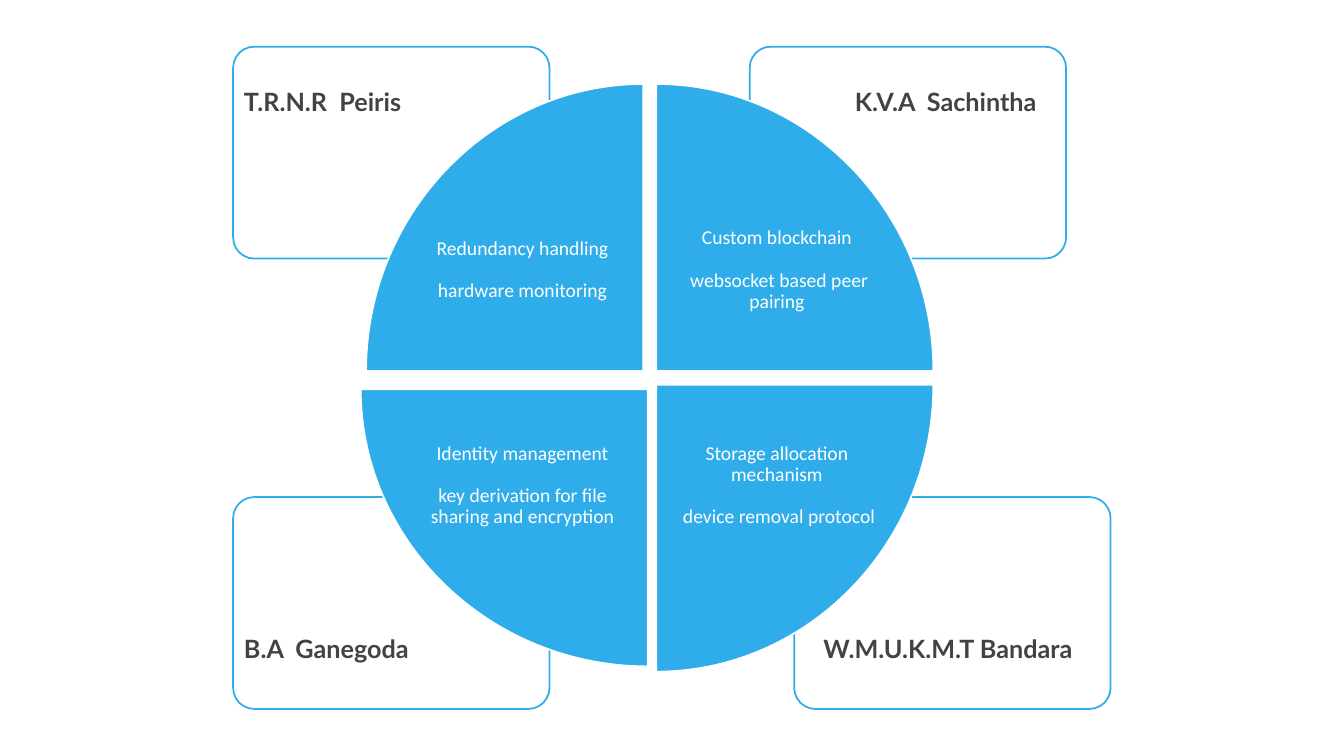
from lxml import etree
from pptx import Presentation
from pptx.dml.color import RGBColor
from pptx.enum.shapes import MSO_SHAPE
from pptx.enum.text import MSO_ANCHOR, PP_ALIGN
from pptx.oxml.ns import qn
from pptx.util import Pt

ROUNDED = MSO_SHAPE.ROUNDED_RECTANGLE
TOP, MIDDLE = MSO_ANCHOR.TOP, MSO_ANCHOR.MIDDLE
LEFT, CENTER = PP_ALIGN.LEFT, PP_ALIGN.CENTER

COLORS = {"blue": "2FACEA", "white": "FFFFFF", "dark": "434343"}
CARD_WIDTH, CARD_HEIGHT = 226, 151.4
LABEL_WIDTH, LABEL_HEIGHT = 172.5, 145
ARC_HANDLE = 0.55  # Bezier handle of a quarter circle


def style(shape, fill, line):
    shape.shadow.inherit = False
    shape.fill.solid()
    shape.fill.fore_color.rgb = RGBColor.from_string(COLORS[fill])
    shape.line.color.rgb = RGBColor.from_string(COLORS[line])
    shape.line.width = Pt(1.25)


def add_text(box, lines, font, size, color, bold, anchor, alignment, inset, gap):
    """Add a text box; box is left, top, width, height and gap parts the lines."""
    frame = slide.shapes.add_textbox(*[Pt(length) for length in box]).text_frame
    frame.word_wrap = True
    frame.vertical_anchor = anchor
    frame.margin_left = frame.margin_right = Pt(inset)
    frame.margin_top = frame.margin_bottom = Pt(inset)
    for index, line in enumerate(lines):
        paragraph = frame.add_paragraph() if index else frame.paragraphs[0]
        paragraph.alignment = alignment
        paragraph.line_spacing = 0.9
        paragraph.space_before = Pt(gap if index else 0)
        run = paragraph.add_run()
        run.text = line
        run.font.name = font
        run.font.size = Pt(size)
        run.font.bold = bold
        run.font.color.rgb = RGBColor.from_string(COLORS[color])


presentation = Presentation()
presentation.slide_width = Pt(960)
presentation.slide_height = Pt(540)
slide = presentation.slides.add_slide(presentation.slide_layouts[6])

# Cards: name, card left and top, name left, top and width
members = [
    ("W.M.U.K.M.T Bandara", 567.3, 355, 583.8, 450.5, 206.5),
    ("B.A  Ganegoda", 166.5, 355, 170, 450.5, 152),
    ("K.V.A  Sachintha", 535.5, 33.3, 606.3, 59.6, 152),
    ("T.R.N.R  Peiris", 166.5, 33.3, 170, 59.6, 152),
]
for name, left, top, name_left, name_top, name_width in members:
    card = slide.shapes.add_shape(ROUNDED, Pt(left), Pt(top), Pt(CARD_WIDTH), Pt(CARD_HEIGHT))
    card.adjustments[0] = 0.1
    style(card, "white", "blue")
    add_text((name_left, name_top, name_width, 50), [name],
             "Lato", 18, "dark", True, TOP, LEFT, 4.3, 0)

# Quadrants: inner corner, signed radii, label position, lines
quadrants = [
    (459.5, 265, -198, -205, 287, 120.5,
     ["Redundancy handling", "hardware monitoring"]),
    (468.7, 265, 198, -205, 468.7, 120.5,
     ["Custom blockchain", " websocket based peer pairing"]),
    (468.7, 274.8, 198, 205, 468.7, 274.6,
     ["Storage allocation mechanism", " device removal protocol"]),
    (462.7, 278, -205, 198, 287, 274.6,
     ["Identity management", "key derivation for file sharing and encryption"]),
]
for x, y, radius_x, radius_y, left, top, lines in quadrants:
    builder = slide.shapes.build_freeform(Pt(x + radius_x), Pt(y))
    builder.add_line_segments([(Pt(x), Pt(y + radius_y)), (Pt(x), Pt(y))], close=True)
    quadrant = builder.convert_to_shape()
    style(quadrant, "blue", "white")

    # Bend the first side into a quarter arc
    start = quadrant.element.find(".//" + qn("a:moveTo"))[0]
    side = quadrant.element.find(".//" + qn("a:lnTo"))
    start_x, start_y = int(start.get("x")), int(start.get("y"))
    end_x, end_y = int(side[0].get("x")), int(side[0].get("y"))
    handles = [(start_x, start_y + ARC_HANDLE * (end_y - start_y)),
               (end_x + ARC_HANDLE * (start_x - end_x), end_y)]
    side.tag = qn("a:cubicBezTo")
    for index, (handle_x, handle_y) in enumerate(handles):
        point = etree.Element(qn("a:pt"), x=str(round(handle_x)), y=str(round(handle_y)))
        side.insert(index, point)

    add_text((left, top, LABEL_WIDTH, LABEL_HEIGHT), lines,
             "Calibri", 14, "white", False, MIDDLE, CENTER, 6.5, 15)

presentation.save("out.pptx")
